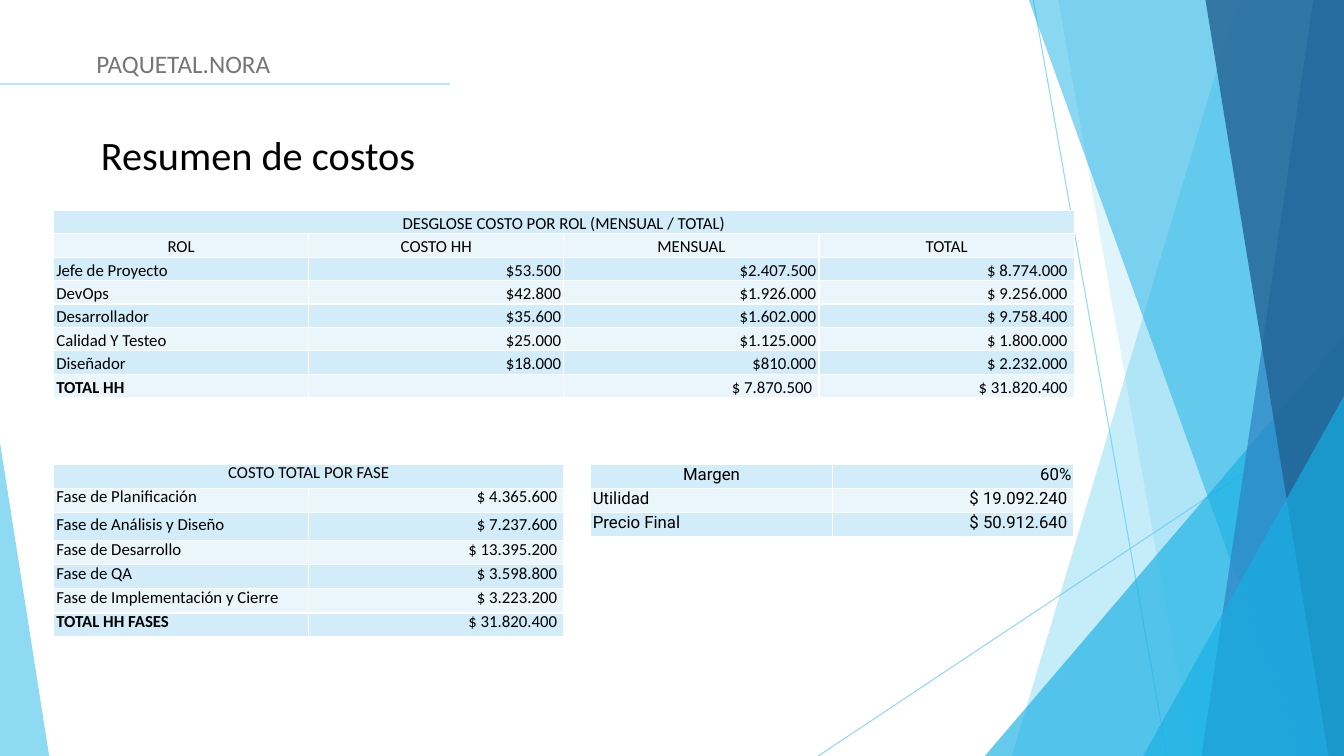
from lxml import etree
from pptx import Presentation
from pptx import util as u
from pptx.dml.color import RGBColor
from pptx.enum import shapes, text
from pptx.oxml.ns import qn

WIDTH, HEIGHT = 33.87, 19.05
SKY, CYAN, BLUE, NAVY = "5FCBEF", "17B0E4", "2E83C3", "226292"
BANDING = ("D2ECF9", "EAF6FC")

THIN_LINES = [(26.04, 0, 29.41, HEIGHT), (WIDTH, 10.24, 20.62, HEIGHT)]
DECORATION = [
    ("band", (31.19, 25.5), SKY, 36),
    ("band", (26.67, 30.05), SKY, 20),
    ("triangle", (24.82, 8.46, 9.05, 10.59, 1), CYAN, 66),
    ("band", (25.93, 32.79), CYAN, 50),
    ("band", (33.1, 30.28), BLUE, 70),
    ("band", (30.38, 33.48), NAVY, 80),
    ("triangle", (28.81, 9.98, 5.06, 9.07, 1), CYAN, 66),
    ("triangle", (0, 11.15, 1.24, 7.9, 0), SKY, 70),
]

ROLES = [
    ("DESGLOSE COSTO POR ROL (MENSUAL / TOTAL)", "", "", ""),
    ("ROL", "COSTO HH", "MENSUAL", "TOTAL"),
    ("Jefe de Proyecto", "$53.500", "$2.407.500", "$ 8.774.000"),
    ("DevOps", "$42.800", "$1.926.000", "$ 9.256.000"),
    ("Desarrollador", "$35.600", "$1.602.000", "$ 9.758.400"),
    ("Calidad Y Testeo", "$25.000", "$1.125.000", "$ 1.800.000"),
    ("Diseñador", "$18.000", "$810.000", "$ 2.232.000"),
    ("TOTAL HH", "", "$ 7.870.500", "$ 31.820.400"),
]
PHASES = [
    ("COSTO TOTAL POR FASE", ""),
    ("Fase de Planificación", "$ 4.365.600"),
    ("Fase de Análisis y Diseño", "$ 7.237.600"),
    ("Fase de Desarrollo", "$ 13.395.200"),
    ("Fase de QA", "$ 3.598.800"),
    ("Fase de Implementación y Cierre", "$ 3.223.200"),
    ("TOTAL HH FASES", "$ 31.820.400"),
]
PRICE = [
    ("Margen", "60%"),
    ("Utilidad", "$ 19.092.240"),
    ("Precio Final", "$ 50.912.640"),
]
TABLES = [
    dict(rows=ROLES, left=1.35, top=5.3, column=6.43, heights=[0.59] * 8,
         inset=(0.07, 0), spacing=None, font="Calibri", merged=True,
         centred=ROLES[0] + ROLES[1]),
    dict(rows=PHASES, left=1.35, top=11.7, column=6.43,
         heights=[0.6, 0.6, 0.71, 0.6, 0.6, 0.6, 0.6],
         inset=(0.07, 0.13), spacing=9.8, font="Calibri", merged=True,
         centred=PHASES[0]),
    dict(rows=PRICE, left=14.89, top=11.69, column=6.08, heights=[0.61] * 3,
         inset=(0.05, 0.1), spacing=8, font="Roboto", merged=False,
         centred=("Margen",)),
]


def colour(value):
    return RGBColor.from_string(value)


def lengths(*values):
    return [u.Cm(value) for value in values]


def set_opacity(shape, percent):
    for tint in shape._element.spPr.iter(qn("a:srgbClr")):
        etree.SubElement(tint, qn("a:alpha"), val=str(percent * 1000))


def add_line(page, ends, tint, weight):
    line = page.shapes.add_connector(shapes.MSO_CONNECTOR.STRAIGHT, *lengths(*ends))
    line.line.color.rgb = colour(tint)
    line.line.width = u.Pt(weight)
    etree.SubElement(line._element.spPr, qn("a:effectLst"))
    return line


def add_decoration(page, kind, geometry, tint, opacity):
    if kind == "band":
        top, bottom = geometry
        corners = [(WIDTH, 0), (WIDTH, HEIGHT), (bottom, HEIGHT)]
        builder = page.shapes.build_freeform(*lengths(top, 0))
        builder.add_line_segments([lengths(*corner) for corner in corners])
        shape = builder.convert_to_shape()
    else:
        *frame, apex = geometry
        shape = page.shapes.add_shape(
            shapes.MSO_SHAPE.ISOSCELES_TRIANGLE, *lengths(*frame))
        shape.adjustments[0] = apex
    shape.shadow.inherit = False
    shape.fill.solid()
    shape.fill.fore_color.rgb = colour(tint)
    shape.line.fill.background()
    set_opacity(shape, opacity)


def format_run(para, font, size, tint, bold=False):
    for span in para.runs:
        span.font.name = font
        span.font.size = u.Pt(size)
        span.font.bold = bold
        span.font.color.rgb = colour(tint)


def add_borders(cell):
    properties = cell._tc.get_or_add_tcPr()
    for side in ("lnL", "lnR", "lnT", "lnB"):
        border = etree.SubElement(properties, qn("a:" + side), w=str(u.Pt(1)))
        fill = etree.SubElement(border, qn("a:solidFill"))
        etree.SubElement(fill, qn("a:srgbClr"), val="FFFFFF")


def fill_cell(cell, wording, column, band, content):
    add_borders(cell)
    cell.fill.solid()
    cell.fill.fore_color.rgb = colour(band)
    cell.vertical_anchor = text.MSO_ANCHOR.BOTTOM
    side, end = content["inset"]
    accounting_gap = 0.1 if wording.startswith("$ ") else 0
    cell.margin_left, cell.margin_right = lengths(side, side + accounting_gap)
    cell.margin_top = cell.margin_bottom = u.Cm(end)
    cell.text_frame.text = wording
    para = cell.text_frame.paragraphs[0]
    if content["spacing"]:
        para.line_spacing = u.Pt(content["spacing"])
    if wording in content["centred"]:
        para.alignment = text.PP_ALIGN.CENTER
    else:
        para.alignment = text.PP_ALIGN.RIGHT if column else text.PP_ALIGN.LEFT
    format_run(para, content["font"], 12, "000000", wording.startswith("TOTAL HH"))
    if not wording:
        etree.SubElement(para._p, qn("a:endParaRPr"), sz="1200")


def add_cost_table(page, content):
    rows, heights = content["rows"], content["heights"]
    columns = len(rows[0])
    frame = page.shapes.add_table(len(rows), columns, *lengths(
        content["left"], content["top"], content["column"] * columns, sum(heights)))
    table = frame.table
    table.first_row = table.horz_banding = False
    for column in table.columns:
        column.width = u.Cm(content["column"])
    for r, row in enumerate(rows):
        table.rows[r].height = u.Cm(heights[r])
        for c, wording in enumerate(row):
            fill_cell(table.cell(r, c), wording, c, BANDING[r % 2], content)
    if content["merged"]:
        table.cell(0, 0).merge(table.cell(0, columns - 1))


def main():
    deck = Presentation()
    deck.slide_width, deck.slide_height = lengths(WIDTH, HEIGHT)
    page = deck.slides.add_slide(deck.slide_layouts[5])

    for ends in THIN_LINES:
        set_opacity(add_line(page, ends, SKY, 0.75), 70)
    for item in DECORATION:
        add_decoration(page, *item)

    title = page.shapes.title
    title.left, title.top, title.width, title.height = lengths(2.29, 3, 23.88, 1.78)
    title.text_frame.text = "Resumen de costos"
    title.text_frame.auto_size = text.MSO_AUTO_SIZE.NONE
    title.text_frame.vertical_anchor = text.MSO_ANCHOR.MIDDLE
    heading = title.text_frame.paragraphs[0]
    heading.alignment = text.PP_ALIGN.LEFT
    format_run(heading, "Calibri", 28.8, "000000")

    add_line(page, (0, 2.11, 11.35, 2.11), "B7E8F8", 1.25)
    box = page.shapes.add_textbox(*lengths(2.18, 1.09, 5.72, 1.02))
    box.text_frame.word_wrap = True
    box.text_frame.auto_size = text.MSO_AUTO_SIZE.SHAPE_TO_FIT_TEXT
    box.text_frame.text = "PAQUETAL.NORA"
    format_run(box.text_frame.paragraphs[0], "Calibri", 18, "767676")

    for content in TABLES:
        add_cost_table(page, content)
    deck.save("out.pptx")


if __name__ == "__main__":
    main()
